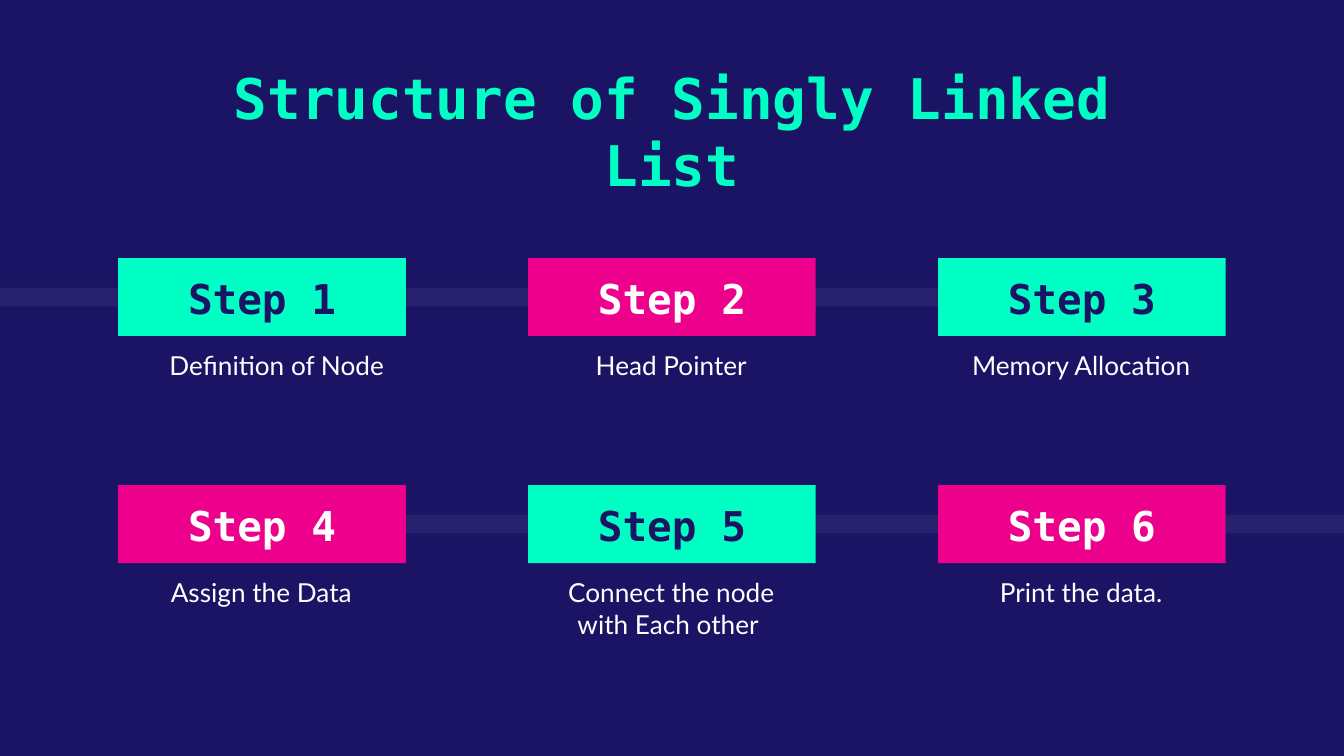
from lxml import etree
from pptx import Presentation
from pptx.dml.color import RGBColor
from pptx.enum.shapes import MSO_SHAPE
from pptx.enum.text import MSO_ANCHOR, MSO_AUTO_SIZE, PP_ALIGN
from pptx.oxml.ns import qn
from pptx.util import Inches, Pt

RECT = MSO_SHAPE.RECTANGLE
TOP, BASE = MSO_ANCHOR.TOP, MSO_ANCHOR.BOTTOM
MID = PP_ALIGN.CENTER
FIXED = MSO_AUTO_SIZE.NONE

WIDE = 10
HIGH = WIDE * 9 / 16
CARD_W, CARD_H = 2.14, 0.58
LEFT, HEAD = 0.88, 1.92
COL, ROW = (WIDE - CARD_W) / 2 - LEFT, 1.69
NAVY, MINT, PINK, WHITE = "1B1464", "00FFC5", "EC008C", "FFFFFF"
MONO, SANS = "DejaVu Sans Mono", "Lato"

STEPS = [
    ("Step 1", "Definition of Node", 2.3),
    ("Step 2", "Head Pointer", 2.07),
    ("Step 3", "Memory Allocation", 2.07),
    ("Step 4", "Assign the Data", 2.07),
    ("Step 5", "Connect the node with Each other ", 2.07),
    ("Step 6", "Print the data.", 2.07),
]
BANDS = [(0, 8.52), (1.02, WIDE)]


def color(code):
    """Turn a hex string into a colour."""
    return RGBColor.from_string(code)


def apply(item, **looks):
    """Set each named format value on an item."""
    for name, value in looks.items():
        setattr(item, name, value)


def write(shape, text, size, font, code, bold=False, anchor=TOP):
    """Put one centred, formatted paragraph of text in a shape."""
    frame = shape.text_frame
    inset = Inches(0.1)
    apply(frame, text=text, word_wrap=True, auto_size=FIXED,
          vertical_anchor=anchor, margin_left=inset, margin_right=inset,
          margin_top=inset, margin_bottom=inset)
    par = frame.paragraphs[0]
    par.alignment = MID
    run = par.runs[0]
    apply(run.font, size=Pt(size), name=font, bold=bold)
    run.font.color.rgb = color(code)


def block(slide, box, code):
    """Draw a plain filled rectangle in a box."""
    shape = slide.shapes.add_shape(RECT, *map(Inches, box))
    shape.shadow.inherit = False
    shape.fill.solid()
    shape.fill.fore_color.rgb = color(code)
    shape.line.fill.background()
    return shape


def band(slide, box):
    """Draw a faint band behind one row of steps."""
    shape = block(slide, box, WHITE)
    tint = next(shape.element.spPr.iter(qn("a:srgbClr")))
    etree.SubElement(tint, qn("a:alpha"), val="6000")


def title(slide, box, text):
    """Place the slide title in a box."""
    shape = slide.shapes.title
    left, top, width, height = map(Inches, box)
    apply(shape, left=left, top=top, width=width, height=height)
    write(shape, text, 30, MONO, MINT, bold=True)


def step(slide, box, name, note, width, fill, ink):
    """Place a step label with its note under it."""
    left, top, _, height = box
    area = (left + 0.03, top + height, width, 0.73)
    text = slide.shapes.add_textbox(*map(Inches, area))
    write(text, note, 14, SANS, WHITE)
    card = block(slide, box, fill)
    write(card, name, 22, MONO, ink, bold=True, anchor=BASE)


def main():
    """Build and save the slide."""
    deck = Presentation()
    apply(deck, slide_width=Inches(WIDE), slide_height=Inches(HIGH))
    slide = deck.slides.add_slide(deck.slide_layouts[5])
    back = slide.background.fill
    back.solid()
    back.fore_color.rgb = color(NAVY)

    for row, (start, end) in enumerate(BANDS):
        band(slide, (start, HEAD + row * ROW + 0.22, end - start, 0.14))
    title(slide, (0.14 * WIDE, 0.37, 0.72 * WIDE, 0.73),
          "Structure of Singly Linked List")
    for spot, (name, note, width) in enumerate(STEPS):
        row, col = divmod(spot, 3)
        fill, ink = (PINK, WHITE) if spot % 2 else (MINT, NAVY)
        box = (LEFT + col * COL, HEAD + row * ROW, CARD_W, CARD_H)
        step(slide, box, name, note, width, fill, ink)
    deck.save("out.pptx")


if __name__ == "__main__":
    main()
